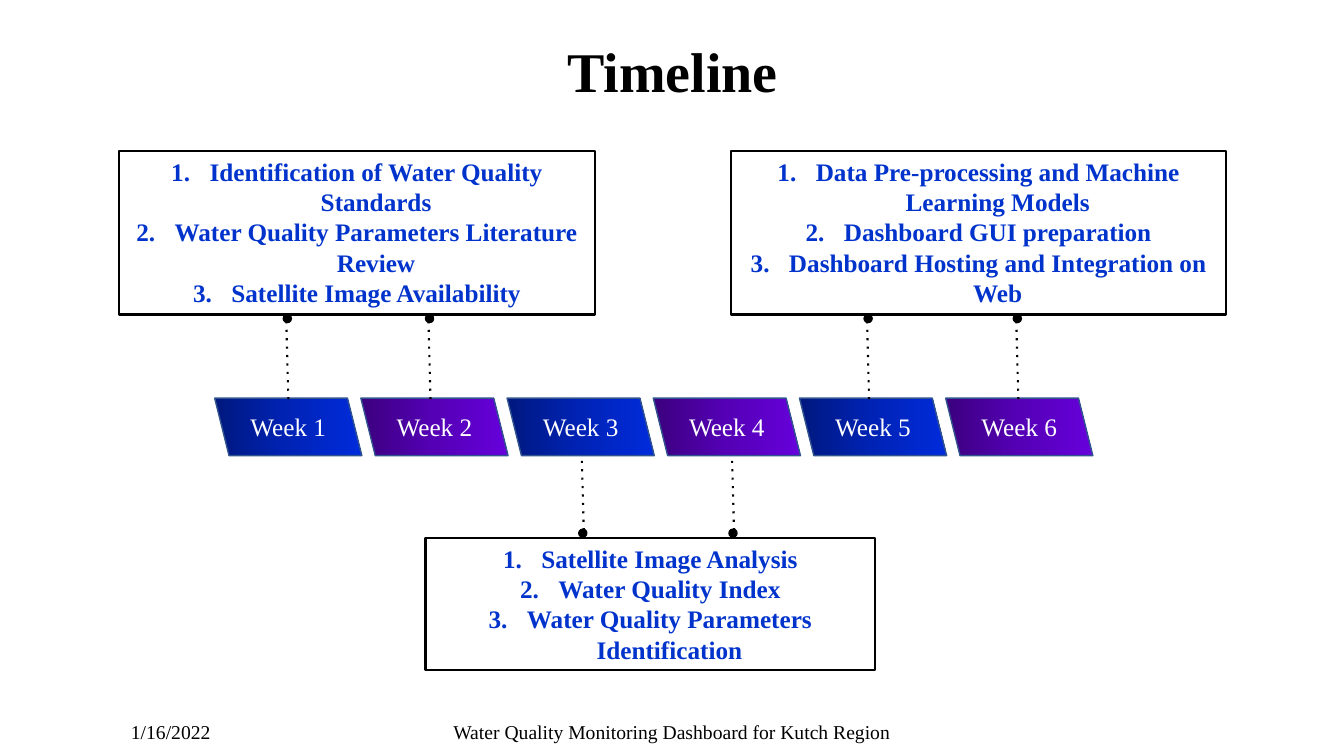
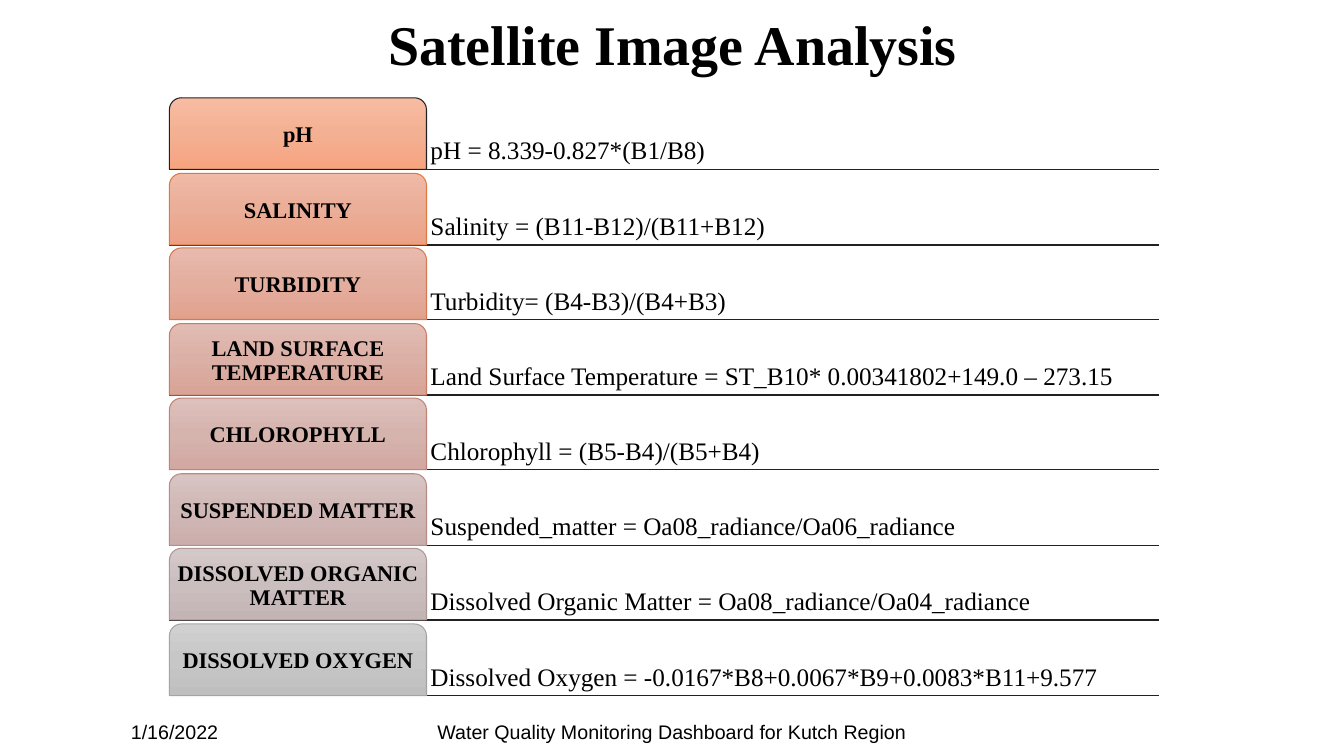
"""Build a timeline slide and a satellite image analysis slide."""
from copy import deepcopy

from pptx import Presentation
from pptx.dml.color import RGBColor
from pptx.enum.dml import MSO_LINE
from pptx.enum.shapes import MSO_CONNECTOR, MSO_SHAPE
from pptx.enum.text import MSO_ANCHOR as ANCHOR, PP_ALIGN as ALIGN
from pptx.oxml.ns import qn
from pptx.oxml.xmlchemy import OxmlElement
from pptx.util import Emu, Pt

PX = 9144
SERIF, SANS = "Times New Roman", "Arial"
BLACK = RGBColor(0x00, 0x00, 0x00)
WHITE = RGBColor(0xFF, 0xFF, 0xFF)
ITEM_BLUE = RGBColor(0x00, 0x33, 0xCC)
WEEK_EDGE = RGBColor(0x31, 0x53, 0x8F)
RULE = RGBColor(0x21, 0x21, 0x21)
BLUE_FADE = (RGBColor(0x00, 0x18, 0x7E), RGBColor(0x00, 0x23, 0xB6), RGBColor(0x00, 0x2B, 0xDB))
PURPLE_FADE = (RGBColor(0x3B, 0x00, 0x7E), RGBColor(0x55, 0x00, 0xB6), RGBColor(0x66, 0x00, 0xDB))
ROW_COLORS = [
    [RGBColor.from_string(code) for code in codes.split()]
    for codes in (
        "F7BCA2 F4B093 F7A47F 212121",
        "EFBAA7 EBAE98 ECA185 DF7943",
        "E8BAAD E3AE9E E2A18D D47955",
        "E1BCB3 DBB0A6 D9A396 C87C66",
        "DDC0BB D5B4AE D2A8A1 BF8377",
        "D8C4C2 D0B8B6 CBAEAB B58C87",
        "D4C9C9 CBBEBE C4B5B5 AC9696",
        "D0D0D0 C7C7C7 BFBFBF A4A4A4",
    )
]


def add_box(slide, kind, place, colors, edge, edge_width, angle=0):
    """Add a preset shape with a solid fill or a three-stop gradient."""
    shape = slide.shapes.add_shape(kind, *[Emu(length * PX) for length in place])
    shape.shadow.inherit = False
    shape.line.color.rgb = edge
    shape.line.width = Pt(edge_width)
    if len(colors) == 1:
        shape.fill.solid()
        shape.fill.fore_color.rgb = colors[0]
        return shape
    shape.fill.gradient()
    shape.fill.gradient_angle = angle
    stop_list = shape._element.spPr.find(".//" + qn("a:gsLst"))
    stop_list.append(deepcopy(stop_list[0]))
    for number, (stop, color) in enumerate(zip(shape.fill.gradient_stops, colors)):
        stop.color.rgb = color
        stop.position = number / 2
    return shape


def write(shape, lines, size, color=BLACK, font=SERIF, bold=False, align=ALIGN.CENTER,
          anchor=ANCHOR.MIDDLE, margin=None, spacing=None):
    """Fill a shape with one paragraph per line."""
    frame = shape.text_frame
    frame.word_wrap = True
    frame.vertical_anchor = anchor
    if margin is not None:
        frame.margin_left = frame.margin_right = Emu(margin * PX)
        frame.margin_top = frame.margin_bottom = Emu(margin * PX)
    for number, line in enumerate(lines):
        paragraph = frame.add_paragraph() if number else frame.paragraphs[0]
        paragraph.alignment = align
        if spacing:
            paragraph.line_spacing = spacing
        run = paragraph.add_run()
        run.text = line
        run.font.size = Pt(size)
        run.font.name = font
        run.font.bold = bold
        run.font.color.rgb = color


presentation = Presentation()
presentation.slide_width = Emu(1333 * PX)
presentation.slide_height = Emu(750 * PX)

slides = []
for title, title_top, title_height, footer_font in (
    ("Timeline", 24, 84, SERIF),
    ("Satellite Image Analysis", 0, 81, SANS),
):
    slide = presentation.slides.add_slide(presentation.slide_layouts[6])
    slides.append(slide)
    title_box = slide.shapes.add_textbox(
        Emu(117 * PX), Emu(title_top * PX), Emu(1100 * PX), Emu(title_height * PX))
    write(title_box, [title], 40, bold=True, anchor=ANCHOR.BOTTOM, spacing=0.85)
    for text, left, width, align in (
        ("1/16/2022", 120, 270, ALIGN.LEFT),
        ("Water Quality Monitoring Dashboard for Kutch Region", 403, 527, ALIGN.CENTER),
    ):
        footer = slide.shapes.add_textbox(
            Emu(left * PX), Emu(706 * PX), Emu(width * PX), Emu(40 * PX))
        write(footer, [text], 14, font=footer_font, align=align)
timeline, analysis = slides
connectors = []

for number in range(6):
    fade = PURPLE_FADE if number % 2 else BLUE_FADE
    week = add_box(timeline, MSO_SHAPE.PARALLELOGRAM, (213 + 145 * number, 395, 146, 57),
                   fade, WEEK_EDGE, 1, 180)
    week._element.spPr.get_or_add_xfrm().set("flipH", "1")
    write(week, [f"Week {number + 1}"], 18, WHITE, margin=0)
    week.text_frame.word_wrap = False

for dot_centers, dot_top, line_top, line_bottom in (
    ((285, 426, 861, 1009), 312, 320, 396),
    ((578, 727), 525, 452, 526),
):
    for center in dot_centers:
        link = timeline.shapes.add_connector(
            MSO_CONNECTOR.STRAIGHT, Emu((center + 1) * PX), Emu(line_bottom * PX),
            Emu((center - 1) * PX), Emu(line_top * PX))
        link.line.color.rgb = BLACK
        link.line.width = Pt(1.5)
        link.line.dash_style = MSO_LINE.ROUND_DOT
        link._element.spPr.find(".//" + qn("a:prstDash")).set("val", "dot")
        connectors.append(link)
        add_box(timeline, MSO_SHAPE.OVAL, (center - 4, dot_top, 8, 8), [BLACK], BLACK, 1)

for place, tasks in (
    ((118, 150, 472, 162), (
        "Identification of Water Quality Standards",
        "Water Quality Parameters Literature Review",
        "Satellite Image Availability")),
    ((422, 534, 446, 131), (
        "Satellite Image Analysis",
        "Water Quality Index",
        "Water Quality Parameters Identification")),
    ((725, 150, 491, 162), (
        "Data Pre-processing and Machine Learning Models",
        "Dashboard GUI preparation",
        "Dashboard Hosting and Integration on Web")),
):
    task_box = add_box(timeline, MSO_SHAPE.RECTANGLE, place, [WHITE], BLACK, 1.5)
    write(task_box, tasks, 18, ITEM_BLUE, bold=True, anchor=ANCHOR.TOP)
    for paragraph in task_box.text_frame.paragraphs:
        properties = paragraph._p.get_or_add_pPr()
        properties.set("marL", str(38 * PX))
        properties.set("indent", str(-38 * PX))
        numbering = OxmlElement("a:buAutoNum")
        numbering.set("type", "arabicPeriod")
        properties.append(numbering)

formulas = (
    ("pH", "pH = 8.339-0.827*(B1/B8)"),
    ("SALINITY", "Salinity = (B11-B12)/(B11+B12)"),
    ("TURBIDITY", "Turbidity= (B4-B3)/(B4+B3)"),
    ("LAND SURFACE TEMPERATURE", "Land Surface Temperature = ST_B10* 0.00341802+149.0 – 273.15"),
    ("CHLOROPHYLL", "Chlorophyll = (B5-B4)/(B5+B4)"),
    ("SUSPENDED MATTER", "Suspended_matter = Oa08_radiance/Oa06_radiance"),
    ("DISSOLVED ORGANIC MATTER", "Dissolved Organic Matter = Oa08_radiance/Oa04_radiance"),
    ("DISSOLVED OXYGEN", "Dissolved Oxygen = -0.0167*B8+0.0067*B9+0.0083*B11+9.577"),
)
for number, ((label, formula), (*fade, edge)) in enumerate(zip(formulas, ROW_COLORS)):
    top = 97 + (149 * number + 1) // 2
    rule = analysis.shapes.add_connector(
        MSO_CONNECTOR.STRAIGHT, Emu(168 * PX), Emu((top + 71) * PX),
        Emu(1150 * PX), Emu((top + 71) * PX))
    rule.line.color.rgb = RULE
    rule.line.width = Pt(1)
    connectors.append(rule)
    formula_box = analysis.shapes.add_textbox(
        Emu(423 * PX), Emu(top * PX), Emu(727 * PX), Emu(71 * PX))
    write(formula_box, [formula], 18, align=ALIGN.LEFT, anchor=ANCHOR.BOTTOM,
          margin=4, spacing=0.9)
    tab = add_box(analysis, MSO_SHAPE.ROUND_2_SAME_RECTANGLE, (168, top, 255, 71),
                  fade, edge, 0.75, 270)
    write(tab, [label], 16, bold=True, margin=3, spacing=0.9)

for connector in connectors:
    connector._element.spPr.append(OxmlElement("a:effectLst"))

presentation.save("out.pptx")
